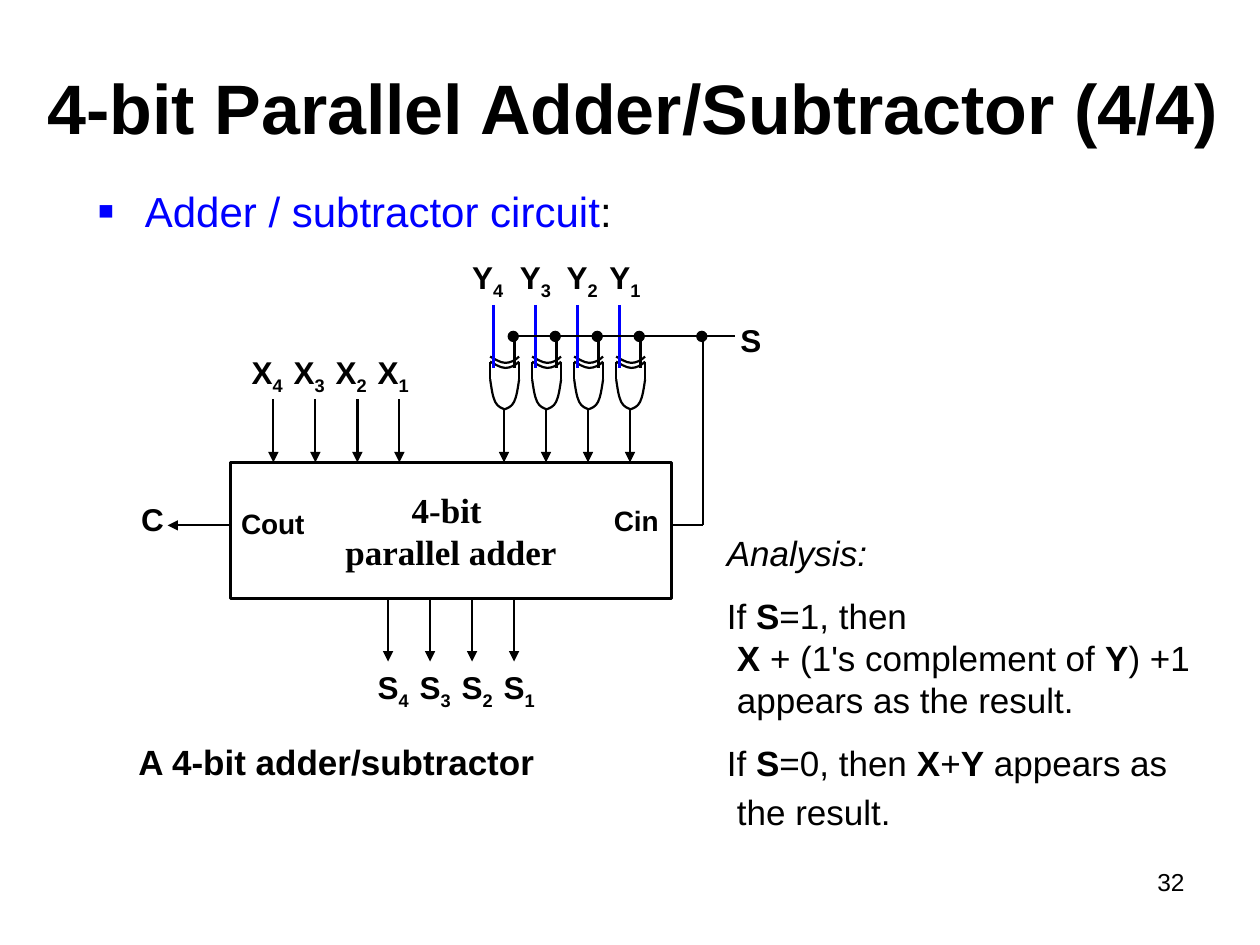
from lxml.etree import SubElement
from pptx import Presentation
from pptx.dml.color import RGBColor
from pptx.enum.shapes import MSO_CONNECTOR, MSO_SHAPE
from pptx.enum.text import MSO_ANCHOR, MSO_AUTO_SIZE, PP_ALIGN
from pptx.oxml.ns import qn
from pptx.util import Inches, Pt

BLACK = RGBColor(0, 0, 0)
BLUE = RGBColor(0, 0, 255)
PITCH = 1 / 3  # distance between neighbouring bits
INPUT = 1 / 12  # distance of a gate input from the gate's centre line
CENTER, LEFT, RIGHT = PP_ALIGN.CENTER, PP_ALIGN.LEFT, PP_ALIGN.RIGHT


def add_run(paragraph, text, size, color=BLACK, **values):
    run = paragraph.add_run()
    run.text = text
    run.font.color.rgb = color
    for name, value in {"name": "Arial", "size": Pt(size), **values}.items():
        setattr(run.font, name, value)
    return run


def add_line(start, end, color=BLACK, arrow=False):
    line = slide.shapes.add_connector(
        MSO_CONNECTOR.STRAIGHT, *[Inches(value) for value in (*start, *end)])
    line.line.color.rgb = color
    line.line.width = Pt(1.25)
    properties = line._element.spPr
    if arrow:
        SubElement(properties.find(qn("a:ln")), qn("a:tailEnd"), type="triangle")
    SubElement(properties, qn("a:effectLst"))


presentation = Presentation()
presentation.slide_width = Inches(10)
presentation.slide_height = Inches(7.5)
slide = presentation.slides.add_slide(presentation.slide_layouts[1])

# Title and bullet
title, body = slide.placeholders
for placeholder, position, anchor in (
    (title, (0.11, 0.22, 9.83, 1.25), MSO_ANCHOR.MIDDLE),
    (body, (0.67, 1.42, 8.5, 0.58), MSO_ANCHOR.TOP),
):
    for name, value in zip(("left", "top", "width", "height"), position):
        setattr(placeholder, name, Inches(value))
    placeholder.text_frame.auto_size = MSO_AUTO_SIZE.NONE
    placeholder.text_frame.vertical_anchor = anchor

heading = title.text_frame.paragraphs[0]
heading.alignment = CENTER
add_run(heading, "4-bit Parallel Adder/Subtractor (4/4)", 40, bold=True)

bullet = body.text_frame.paragraphs[0]
bullet.space_before = Pt(0)
bullet_format = bullet._p.get_or_add_pPr()
bullet_format.set("marL", str(Inches(0.38)))
bullet_format.set("indent", str(Inches(-0.38)))
bullet_color = SubElement(bullet_format, qn("a:buClr"))
SubElement(bullet_color, qn("a:srgbClr"), val=str(BLUE))
SubElement(bullet_format, qn("a:buSzPct"), val="120000")
SubElement(bullet_format, qn("a:buFont"), typeface="Arial")
SubElement(bullet_format, qn("a:buChar"), char="▪")
add_run(bullet, "Adder / subtractor circuit", 24, BLUE)
add_run(bullet, ":", 24)

# Adder block
adder = slide.shapes.add_shape(
    MSO_SHAPE.RECTANGLE, Inches(1.83), Inches(3.67), Inches(3.5), Inches(1.08))
adder.shadow.inherit = False
adder.fill.background()
adder.line.color.rgb = BLACK
adder.line.width = Pt(1.5)

# Curves of an XOR gate as Bezier control points, relative to its centre line
back_arc = [(0.12, 2.87), (0.09, 2.9), (0.05, 2.92), (0.01, 2.92),
            (-0.03, 2.92), (-0.09, 2.88), (-0.11, 2.87)]
outer_arc = [(x, y - 0.04) for x, y in back_arc]
right_bowl = [(0.12, 3.01), (0.11, 3.08), (0.1, 3.15), (0.08, 3.19),
              (0.06, 3.23), (0.03, 3.24), (0, 3.25)]
left_bowl = [(0.01 - x, y) for x, y in right_bowl]

for bit in range(4):
    offset = bit * PITCH
    gate_x = 4 + offset
    for curve in (back_arc, outer_arc, right_bowl, left_bowl):
        points = [(Inches(gate_x + x), Inches(y)) for x, y in curve]
        builder = slide.shapes.build_freeform(*points[0])
        builder.add_line_segments(points[1:], close=False)
        outline = builder.convert_to_shape()
        outline.shadow.inherit = False
        outline.fill.background()
        outline.line.color.rgb = BLACK
        outline.line.width = Pt(1.25)
        # Turn each three straight segments into one cubic Bezier segment
        segments = list(outline._element.iter(qn("a:lnTo")))
        drawing = segments[0].getparent()
        for first in range(0, len(segments), 3):
            bezier = SubElement(drawing, qn("a:cubicBezTo"))
            for segment in segments[first:first + 3]:
                bezier.append(segment[0])
                drawing.remove(segment)
    for side in (-0.11, 0.12):
        add_line((gate_x + side, 2.87), (gate_x + side, 3.01))

    add_line((gate_x - INPUT, 2.42), (gate_x - INPUT, 2.92), BLUE)
    add_line((gate_x + INPUT, 2.67), (gate_x + INPUT, 2.92))
    add_line((gate_x, 3.25), (gate_x, 3.67), arrow=True)
    add_line((2.17 + offset, 3.17), (2.17 + offset, 3.67), arrow=True)
    add_line((3.08 + offset, 4.75), (3.08 + offset, 5.25), arrow=True)

# Carry output and select line
add_line((1.83, 4.17), (1.33, 4.17), arrow=True)
add_line((4.08, 2.67), (5.83, 2.67))
add_line((5.58, 2.67), (5.58, 4.17))
add_line((5.33, 4.17), (5.58, 4.17))
for center in [4 + INPUT + bit * PITCH for bit in range(4)] + [5.58]:
    dot = slide.shapes.add_shape(
        MSO_SHAPE.OVAL, Inches(center - 0.05), Inches(2.63), Inches(0.08), Inches(0.08))
    dot.shadow.inherit = False
    dot.fill.solid()
    dot.fill.fore_color.rgb = BLACK
    dot.line.color.rgb = BLACK
    dot.line.width = Pt(0.75)

# Text boxes: position, alignment, size, bold, font, lines
texts = [
    ((7.17, 6.83, 2.33, 0.52), RIGHT, 14, False, "Arial", ["32"]),
    ((2.33, 3.83, 2.5, 0.77), CENTER, 20, True, "Times New Roman",
     ["4-bit ", "parallel adder"]),
    ((1, 3.92, 0.42, 0.4), CENTER, 18, True, "Arial", ["C"]),
    ((5.75, 2.5, 0.42, 0.4), CENTER, 18, True, "Arial", ["S"]),
    ((4.76, 3.95, 0.58, 0.37), CENTER, 16, True, "Arial", ["Cin"]),
    ((1.79, 3.97, 0.75, 0.37), CENTER, 16, True, "Arial", ["Cout"]),
    ((1, 5.83, 4, 0.44), LEFT, 20, True, "Arial", ["A 4-bit adder/subtractor"]),
]
for position, alignment, size, bold, font_name, lines in texts:
    frame = slide.shapes.add_textbox(*[Inches(value) for value in position]).text_frame
    frame.word_wrap = True
    for index, line in enumerate(lines):
        paragraph = frame.add_paragraph() if index else frame.paragraphs[0]
        paragraph.alignment = alignment
        add_run(paragraph, line, size, bold=bold, name=font_name)

# Bit labels with subscripts, from bit 4 down to bit 1
label_rows = {
    "X": (2.75, [1.83 + bit * PITCH for bit in range(4)]),
    "Y": (2, [3.58, 3.96, 4.33, 4.67]),
    "S": (5.25, [2.83 + bit * PITCH for bit in range(4)]),
}
for letter, (top, lefts) in label_rows.items():
    for bit, left in zip((4, 3, 2, 1), lefts):
        frame = slide.shapes.add_textbox(
            Inches(left), Inches(top), Inches(0.58), Inches(0.44)).text_frame
        frame.word_wrap = True
        paragraph = frame.paragraphs[0]
        paragraph.alignment = CENTER
        add_run(paragraph, letter, 18, bold=True)
        subscript = add_run(paragraph, str(bit), 18, bold=True)
        subscript.font._element.set("baseline", "-25000")

# Analysis: space before, left indent, runs (upper-case single letters are bold)
analysis = [
    (0, 0, ["Analysis:"]),
    (12, 0, ["If ", "S", "=1, then"]),
    (0, 0.08, ["X", " + (1's complement of ", "Y", ") +1"]),
    (0, 0.08, ["appears as the result."]),
    (12, 0, ["If ", "S", "=0, then ", "X", "+", "Y", " appears as"]),
    (4, 0.08, ["the result."]),
]
frame = slide.shapes.add_textbox(
    Inches(5.67), Inches(4.17), Inches(3.92), Inches(2.58)).text_frame
frame.word_wrap = True
for index, (space, indent, runs) in enumerate(analysis):
    paragraph = frame.add_paragraph() if index else frame.paragraphs[0]
    paragraph.space_before = Pt(space)
    paragraph._p.get_or_add_pPr().set("marL", str(Inches(indent)))
    for text in runs:
        add_run(paragraph, text, 20, bold=text in ("S", "X", "Y"), italic=index == 0)

presentation.save("out.pptx")
